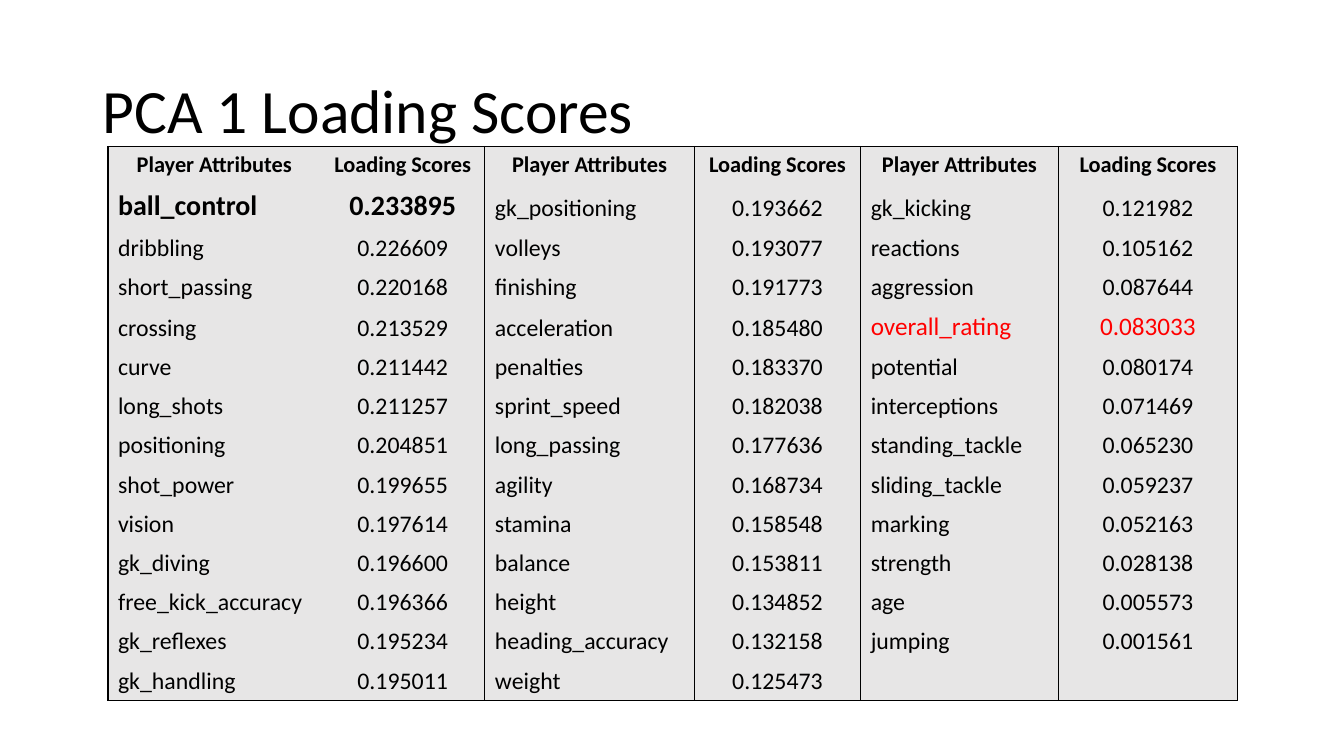
from dataclasses import dataclass

from lxml.etree import SubElement
from pptx import Presentation
from pptx.dml.color import RGBColor
from pptx.enum.text import MSO_ANCHOR as Anchor, MSO_AUTO_SIZE as AutoSize, PP_ALIGN as Align
from pptx.oxml.ns import qn
from pptx.util import Cm, Pt

COLORS = {"text": "000000", "highlight": "FF0000", "cell": "E7E6E6", "border": "000000"}
FONT = "Calibri"
NO_STYLE = "{2D5ABB26-0587-4C30-8999-92F81FD0307C}"
COLUMN_WIDTHS = (5.36, 4.14, 5.28, 4.19, 4.98, 4.52)
HEADINGS = ("Player Attributes", "Loading Scores")


@dataclass(frozen=True)
class TextStyle:
    size: int
    bold: bool = False
    color: str = "text"
    row_height: float = 0.98


@dataclass(frozen=True)
class Loading:
    attribute: str
    score: str


TITLE = TextStyle(44)
HEADER = TextStyle(16, bold=True, row_height=0.94)
BODY = TextStyle(17)
SPECIAL = {
    "ball_control": TextStyle(20, bold=True, row_height=1.11),
    "overall_rating": TextStyle(18, color="highlight", row_height=1.03),
}

# One list for each pair of columns
BLOCKS = [
    [
        Loading("ball_control", "0.233895"),
        Loading("dribbling", "0.226609"),
        Loading("short_passing", "0.220168"),
        Loading("crossing", "0.213529"),
        Loading("curve", "0.211442"),
        Loading("long_shots", "0.211257"),
        Loading("positioning", "0.204851"),
        Loading("shot_power", "0.199655"),
        Loading("vision", "0.197614"),
        Loading("gk_diving", "0.196600"),
        Loading("free_kick_accuracy", "0.196366"),
        Loading("gk_reflexes", "0.195234"),
        Loading("gk_handling", "0.195011"),
    ],
    [
        Loading("gk_positioning", "0.193662"),
        Loading("volleys", "0.193077"),
        Loading("finishing", "0.191773"),
        Loading("acceleration", "0.185480"),
        Loading("penalties", "0.183370"),
        Loading("sprint_speed", "0.182038"),
        Loading("long_passing", "0.177636"),
        Loading("agility", "0.168734"),
        Loading("stamina", "0.158548"),
        Loading("balance", "0.153811"),
        Loading("height", "0.134852"),
        Loading("heading_accuracy", "0.132158"),
        Loading("weight", "0.125473"),
    ],
    [
        Loading("gk_kicking", "0.121982"),
        Loading("reactions", "0.105162"),
        Loading("aggression", "0.087644"),
        Loading("overall_rating", "0.083033"),
        Loading("potential", "0.080174"),
        Loading("interceptions", "0.071469"),
        Loading("standing_tackle", "0.065230"),
        Loading("sliding_tackle", "0.059237"),
        Loading("marking", "0.052163"),
        Loading("strength", "0.028138"),
        Loading("age", "0.005573"),
        Loading("jumping", "0.001561"),
    ],
]
ROW_COUNT = 1 + max(len(block) for block in BLOCKS)


def add_text(para, text: str, style: TextStyle, align: Align) -> None:
    para.alignment = align
    if not text:
        # An empty cell still needs a size, or it stretches its row
        SubElement(para._p, qn("a:endParaRPr"), sz=str(style.size * 100))
        return
    span = para.add_run()
    span.text = text
    span.font.name = FONT
    span.font.size = Pt(style.size)
    span.font.bold = style.bold
    span.font.color.rgb = RGBColor.from_string(COLORS[style.color])


def add_border(cell, side: str) -> None:
    line = SubElement(cell._tc.get_or_add_tcPr(), qn(f"a:ln{side}"), w=str(Pt(1)))
    fill = SubElement(line, qn("a:solidFill"))
    SubElement(fill, qn("a:srgbClr"), val=COLORS["border"])


def fill_cell(cell, row: int, column: int, text: str, style: TextStyle) -> None:
    is_score = column % 2 == 1
    # Each pair of columns is framed by an outline
    add_border(cell, "R" if is_score else "L")
    if row == 0:
        add_border(cell, "T")
    elif row == ROW_COUNT - 1:
        add_border(cell, "B")
    cell.fill.solid()
    cell.fill.fore_color.rgb = RGBColor.from_string(COLORS["cell"])
    cell.vertical_anchor = Anchor.BOTTOM
    align = Align.CENTER if is_score or row == 0 else Align.LEFT
    add_text(cell.text_frame.paragraphs[0], text, style, align)


def add_title(page, text: str) -> None:
    box = page.shapes.title
    box.left, box.top, box.width, box.height = Cm(2.33), Cm(1.01), Cm(29.21), Cm(3.68)
    frame = box.text_frame
    frame.auto_size = AutoSize.NONE
    frame.vertical_anchor = Anchor.MIDDLE
    para = frame.paragraphs[0]
    para.line_spacing = 0.9
    add_text(para, text, TITLE, Align.LEFT)


def add_loadings(page) -> None:
    frame = page.shapes.add_table(ROW_COUNT, len(COLUMN_WIDTHS), Cm(2.72), Cm(3.69),
                                  Cm(sum(COLUMN_WIDTHS)), Cm(13.94))
    table = frame.table
    table.first_row = table.horz_banding = False
    table._tbl.tblPr.find(qn("a:tableStyleId")).text = NO_STYLE
    for column, width in zip(table.columns, COLUMN_WIDTHS):
        column.width = Cm(width)

    for row in range(ROW_COUNT):
        height = 0.0
        for index, block in enumerate(BLOCKS):
            if row == 0:
                texts, style = HEADINGS, HEADER
            elif row <= len(block):
                loading = block[row - 1]
                texts = (loading.attribute, loading.score)
                style = SPECIAL.get(loading.attribute, BODY)
            else:
                texts, style = ("", ""), BODY
            height = max(height, style.row_height)
            for column, text in enumerate(texts, start=2 * index):
                fill_cell(table.cell(row, column), row, column, text, style)
        table.rows[row].height = Cm(height)


def main() -> None:
    deck = Presentation()
    deck.slide_width, deck.slide_height = Cm(33.87), Cm(19.05)
    page = deck.slides.add_slide(deck.slide_layouts[5])
    add_title(page, "PCA 1 Loading Scores")
    add_loadings(page)
    deck.save("out.pptx")


if __name__ == "__main__":
    main()
